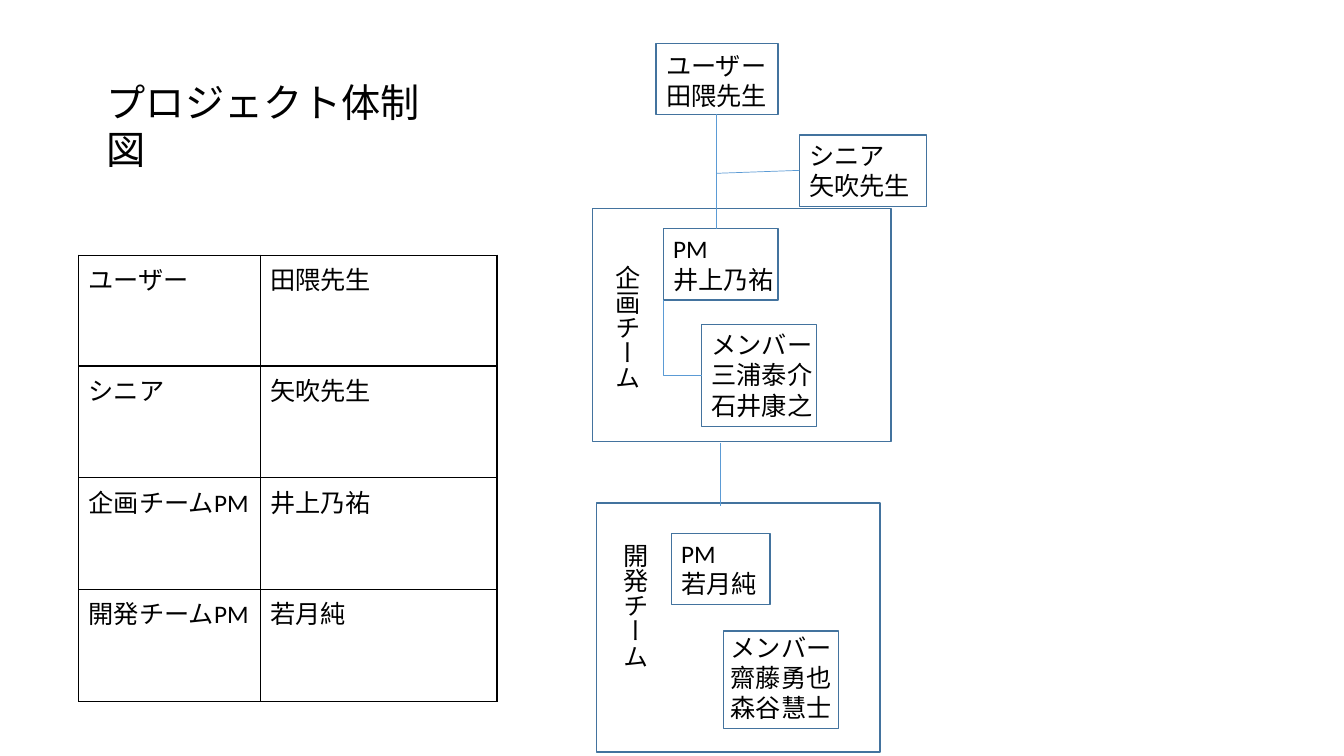
import pptx
import pptx.util
import pptx.dml.color
import pptx.enum.shapes
import pptx.enum.text
import pptx.oxml
import pptx.oxml.ns

Pt = pptx.util.Pt
BLACK = pptx.dml.color.RGBColor(0x00, 0x00, 0x00)
FRAME_BLUE = pptx.dml.color.RGBColor(0x43, 0x73, 0x9E)
LINK_BLUE = pptx.dml.color.RGBColor(0x5B, 0x9B, 0xD5)
FONT = "Calibri"
BODY_SIZE = 18

TITLE = "プロジェクト体制図"
TITLE_AREA = (69.1, 52.6, 254.9, 40.8)
ROLES = [
    ("ユーザー", "田隈先生"),
    ("シニア", "矢吹先生"),
    ("企画チームPM", "井上乃祐"),
    ("開発チームPM", "若月純"),
]
TABLE_AREA = (56.2, 182.2, 298.8, 318.9)
COLUMN_WIDTHS = (129.6, 169.2)
ROW_HEIGHTS = (79.2, 79.9, 79.9, 79.9)
LABELS = [
    (("ユーザー", "田隈先生"), (468.7, 32.4, 146.9, 50.9)),
    (("シニア", "矢吹先生"), (571, 96.5, 118.8, 50.9)),
    (("PM", "井上乃祐"), (473.8, 163.4, 125.3, 50.9)),
    (("メンバー", "三浦泰介", "石井康之"), (501.1, 231.8, 113.8, 72.7)),
    (("PM", "若月純"), (479.5, 380.9, 70.6, 50.9)),
    (("メンバー", "齋藤勇也", "森谷慧士"), (514.8, 447.8, 92.2, 72.7)),
]
TEAM_LABELS = [
    ("企画チーム", (426.2, 182.2, 36, 122.4)),
    ("開発チーム", (432, 380.9, 36, 123.1)),
]
FRAMES = [
    (473.8, 163.4, 82.1, 50.9),
    (501.1, 231.8, 82.1, 72.7),
    (468.7, 31, 87.1, 50.9),
    (571, 96.5, 90.7, 50.9),
    (423.4, 149, 213.1, 166.3),
    (517, 450.7, 82.1, 69.8),
    (479.5, 380.9, 70.6, 50.9),
    (426.2, 359.3, 202.3, 177.8),
]
LINKS = [
    (511.9, 81.4, 511.9, 163.4),
    (511.9, 123.8, 571, 121.7),
    (514.8, 316.1, 514.8, 361.4),
]
PM_TO_MEMBERS = (473.8, 214.6, 501.1, 267.8)


def points(values):
    return [Pt(value) for value in values]


def write_lines(text_frame, lines, size=BODY_SIZE):
    for index, line in enumerate(lines):
        paragraph = text_frame.paragraphs[0] if index == 0 else text_frame.add_paragraph()
        paragraph.alignment = pptx.enum.text.PP_ALIGN.LEFT
        run = paragraph.add_run()
        run.text = line
        run.font.name = FONT
        run.font.size = Pt(size)
        run.font.color.rgb = BLACK


def add_label(slide, lines, area, vertical=False):
    text_frame = slide.shapes.add_textbox(*points(area)).text_frame
    text_frame.word_wrap = True
    text_frame.auto_size = pptx.enum.text.MSO_AUTO_SIZE.SHAPE_TO_FIT_TEXT
    if vertical:
        text_frame._txBody.bodyPr.set("vert", "eaVert")
    write_lines(text_frame, lines)


def add_frame(slide, area):
    shape = slide.shapes.add_shape(pptx.enum.shapes.MSO_SHAPE.RECTANGLE, *points(area))
    shape.shadow.inherit = False
    shape.fill.background()
    shape.line.color.rgb = FRAME_BLUE
    shape.line.width = Pt(1)


def add_link(slide, ends, kind=pptx.enum.shapes.MSO_CONNECTOR.STRAIGHT):
    connector = slide.shapes.add_connector(kind, *points(ends))
    connector.line.color.rgb = LINK_BLUE
    connector.line.width = Pt(0.5)
    properties = connector._element.spPr
    properties.append(pptx.oxml.parse_xml(f'<a:effectLst {pptx.oxml.ns.nsdecls("a")}/>'))
    return properties


def add_corner_link(slide, ends):
    left, top, right, bottom = ends
    center_x, center_y = (left + right) / 2, (top + bottom) / 2
    half_width, half_height = (bottom - top) / 2, (right - left) / 2
    turned = (center_x + half_width, center_y - half_height,
              center_x - half_width, center_y + half_height)
    properties = add_link(slide, turned, pptx.enum.shapes.MSO_CONNECTOR.ELBOW)
    properties.find(pptx.oxml.ns.qn("a:prstGeom")).set("prst", "bentConnector2")
    properties.find(pptx.oxml.ns.qn("a:xfrm")).set("rot", str(270 * 60000))


def add_borders(cell):
    properties = cell._tc.get_or_add_tcPr()
    for index, side in enumerate(("lnL", "lnR", "lnT", "lnB")):
        border = pptx.oxml.parse_xml(
            f'<a:{side} {pptx.oxml.ns.nsdecls("a")} w="{Pt(1)}"><a:solidFill>'
            f'<a:srgbClr val="{BLACK}"/></a:solidFill></a:{side}>')
        properties.insert(index, border)


def add_role_table(slide):
    table = slide.shapes.add_table(len(ROLES), len(COLUMN_WIDTHS), *points(TABLE_AREA)).table
    table.first_row = False
    table.horz_banding = False
    for column, width in zip(table.columns, COLUMN_WIDTHS):
        column.width = Pt(width)
    for row, height, texts in zip(table.rows, ROW_HEIGHTS, ROLES):
        row.height = Pt(height)
        for cell, text in zip(row.cells, texts):
            cell.fill.background()
            write_lines(cell.text_frame, [text])
            add_borders(cell)


def add_title(slide):
    title = slide.shapes.title
    title.left, title.top, title.width, title.height = points(TITLE_AREA)
    text_frame = title.text_frame
    text_frame.word_wrap = True
    text_frame.auto_size = pptx.enum.text.MSO_AUTO_SIZE.SHAPE_TO_FIT_TEXT
    text_frame.vertical_anchor = pptx.enum.text.MSO_ANCHOR.TOP
    write_lines(text_frame, [TITLE], 28)


presentation = pptx.Presentation()
presentation.slide_width = Pt(960)
presentation.slide_height = Pt(540)
slide = presentation.slides.add_slide(presentation.slide_layouts.get_by_name("Title Only"))
add_title(slide)
for lines, area in LABELS:
    add_label(slide, lines, area)
for text, area in TEAM_LABELS:
    add_label(slide, [text], area, vertical=True)
for area in FRAMES:
    add_frame(slide, area)
for ends in LINKS:
    add_link(slide, ends)
add_corner_link(slide, PM_TO_MEMBERS)
add_role_table(slide)
presentation.save("out.pptx")
